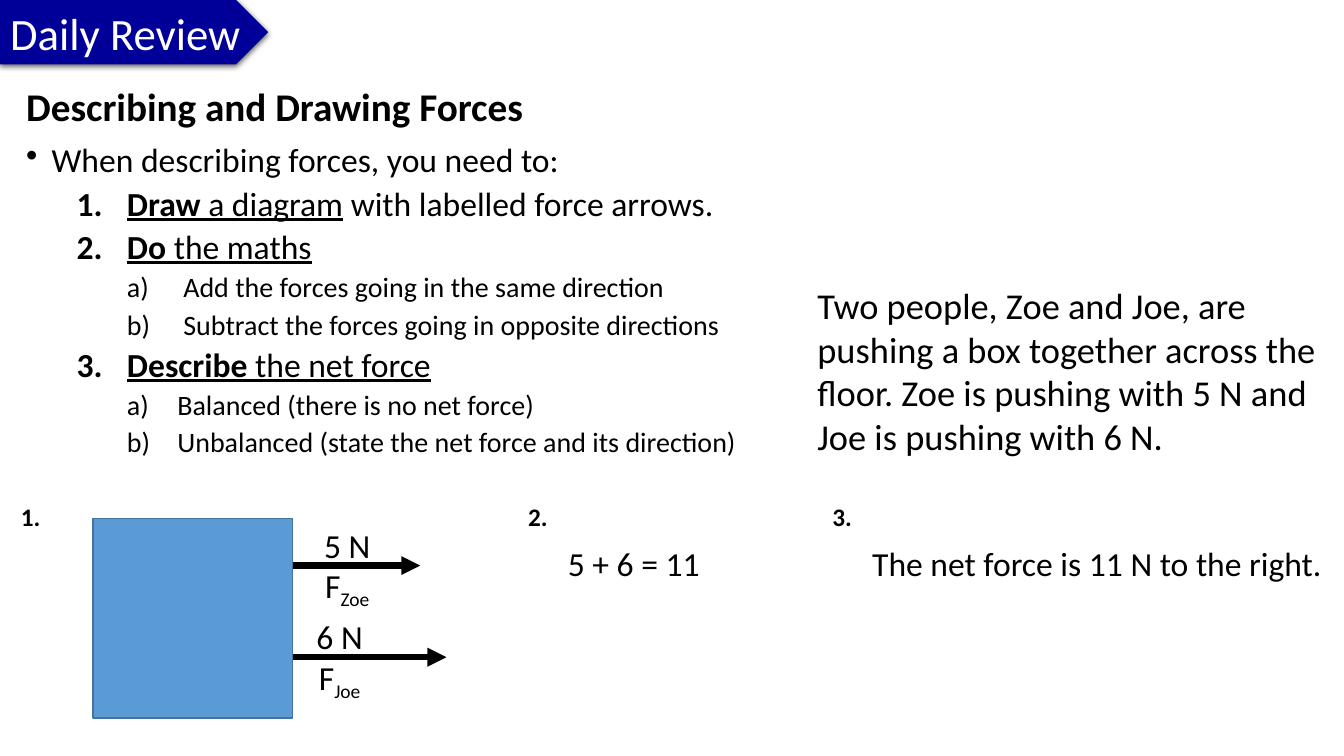
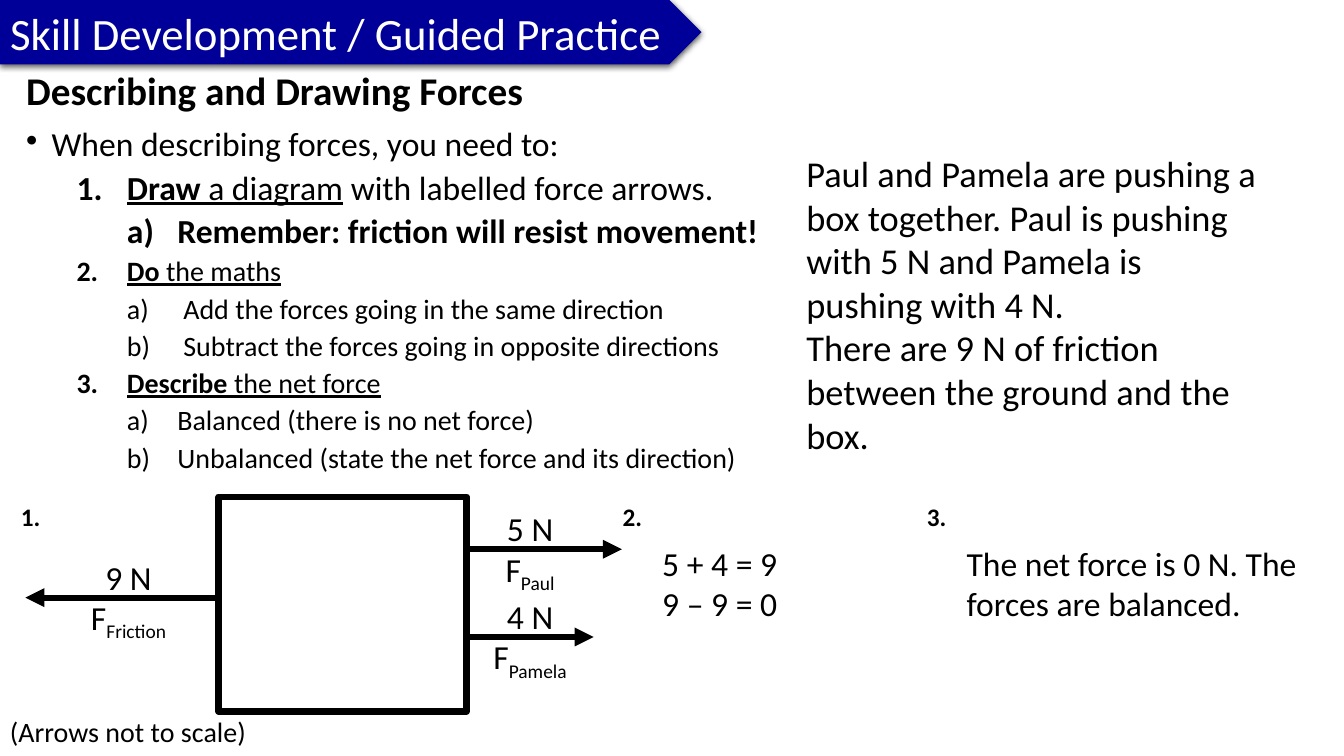
from lxml import etree
from pptx import Presentation
from pptx.dml.color import RGBColor
from pptx.enum.dml import MSO_THEME_COLOR
from pptx.enum.shapes import MSO_CONNECTOR, MSO_SHAPE
from pptx.enum.text import MSO_ANCHOR, MSO_AUTO_SIZE, PP_ALIGN
from pptx.oxml.ns import qn
from pptx.util import Cm, Pt

LEFT, CENTER = PP_ALIGN.LEFT, PP_ALIGN.CENTER
MIDDLE, NO_AUTOFIT = MSO_ANCHOR.MIDDLE, MSO_AUTO_SIZE.NONE
PENTAGON, RECTANGLE = MSO_SHAPE.PENTAGON, MSO_SHAPE.RECTANGLE
STRAIGHT = MSO_CONNECTOR.STRAIGHT

FONT = "Calibri"
COLORS = {
    "text": "000000",
    "banner": "000099",
    "white": "FFFFFF",
    "box": "5B9BD5",
    "box_edge": "43739E",
}
TITLE_ONLY = 5
BANNER_HEIGHT = 1.62
THICK = 4.5
NUMBER_TOP, ANSWER_TOP = 12.52, 13.56
ANSWER_INDENT, ANSWER_GAP = 1.0, 7.67
LABEL_RISE, LABEL_HEIGHT = 1.16, 2.31

LETTERS = ("buAutoNum", {"type": "alphaLcParenR"})
# level, left margin, hanging indent, space before, bullet
STYLES = {
    "heading": (0, 0, 0, 0, ("buNone", {})),
    "bullet": (0, 0.64, 0.64, 10, ("buChar", {"char": "•"})),
    "step": (1, 2.54, 1.27, 5, ("buAutoNum", {"type": "arabicPeriod"})),
    "operation": (2, 3.96, 1.42, 5, LETTERS),
    "detail": (2, 3.81, 1.27, 5, LETTERS),
}


def rgb(name):
    """Return the named colour."""
    return RGBColor.from_string(COLORS[name])


def format_paragraph(paragraph, size, color="text", bold=False, align=LEFT):
    """Set the font and alignment of a whole paragraph."""
    paragraph.alignment = align
    font = paragraph.font
    font.name, font.size, font.bold = FONT, Pt(size), bold
    font.color.rgb = rgb(color)


def add_text_box(slide, left, top, width, height, wrap=True):
    """Add an empty text box and return its text frame."""
    box = slide.shapes.add_textbox(Cm(left), Cm(top), Cm(width), Cm(height))
    box.text_frame.word_wrap = wrap
    return box.text_frame


def add_text(slide, lines, left, top, width, height, size, wrap=True, bold=False):
    """Add a text box with one paragraph per line."""
    frame = add_text_box(slide, left, top, width, height, wrap)
    for index, line in enumerate(lines):
        paragraph = frame.add_paragraph() if index else frame.paragraphs[0]
        paragraph.text = line
        format_paragraph(paragraph, size, bold=bold)


def add_banner(slide, text, width):
    """Place the slide title on a shadowed arrow-shaped banner."""
    position = 0, 0, Cm(width), Cm(BANNER_HEIGHT)
    banner = slide.shapes.add_shape(PENTAGON, *position)
    banner.fill.solid()
    banner.fill.fore_color.rgb = rgb("banner")
    banner.line.fill.background()
    banner.shadow.inherit = False
    effects = banner.element.spPr.find(qn("a:effectLst"))
    shadow = etree.SubElement(effects, qn("a:outerShdw"), blurRad=str(Pt(4.5)),
                              dist=str(Pt(1.5)), dir="5400000", algn="ctr", rotWithShape="0")
    color = etree.SubElement(shadow, qn("a:srgbClr"), val=COLORS["text"])
    etree.SubElement(color, qn("a:alpha"), val="63000")

    title = slide.shapes.title
    title.element.addprevious(banner.element)
    title.left, title.top, title.width, title.height = position
    frame = title.text_frame
    frame.text = text
    frame.word_wrap = True
    frame.auto_size = NO_AUTOFIT
    frame.vertical_anchor = MIDDLE
    format_paragraph(frame.paragraphs[0], 32, "white")


def list_instructions(later_size, reminder=None):
    """Return the instructions as style, size, bold and runs."""
    def step(size, verb, underlined, rest=""):
        return "step", size, False, [(verb, True, True), (underlined, False, True), (rest, False, False)]

    def plain(style, size, text, bold=False):
        return style, size, bold, [(text, bold, False)]

    reminders = [plain("detail", 24, reminder, True)] if reminder else []
    return [
        plain("heading", 28, "Describing and Drawing Forces", True),
        plain("bullet", 24, "When describing forces, you need to:"),
        step(24, "Draw", " a diagram", " with labelled force arrows."),
        *reminders,
        step(later_size, "Do", " the maths"),
        plain("operation", 20, "Add the forces going in the same direction"),
        plain("operation", 20, "Subtract the forces going in opposite directions"),
        step(later_size, "Describe", " the net force"),
        plain("detail", 20, "Balanced (there is no net force)"),
        plain("detail", 20, "Unbalanced (state the net force and its direction)"),
    ]


def add_instructions(slide, instructions, top, width, height):
    """Add the numbered instructions."""
    frame = add_text_box(slide, 0.41, top, width, height)
    for index, (style, size, bold, runs) in enumerate(instructions):
        paragraph = frame.add_paragraph() if index else frame.paragraphs[0]
        level, margin, hanging, space, (bullet, attributes) = STYLES[style]
        paragraph.level = level
        paragraph.line_spacing = 0.9
        paragraph.space_before = Pt(space)
        properties = paragraph._p.get_or_add_pPr()
        properties.set("marL", str(Cm(margin)))
        properties.set("indent", str(-Cm(hanging)))
        etree.SubElement(properties, qn(f"a:{bullet}"), attributes)
        format_paragraph(paragraph, size, bold=bold)
        for text, run_bold, underline in runs:
            if text:
                run = paragraph.add_run()
                run.text = text
                run.font.bold, run.font.underline = run_bold, underline


def add_box(slide, left, top, width, height, fill, edge, edge_width):
    """Add the box that is being pushed."""
    box = slide.shapes.add_shape(RECTANGLE, Cm(left), Cm(top), Cm(width), Cm(height))
    box.shadow.inherit = False
    box.fill.solid()
    box.fill.fore_color.rgb = rgb(fill)
    box.line.color.rgb = rgb(edge)
    box.line.width = Pt(edge_width)


def add_force(slide, start, end, y, strength, source, label_center, label_width):
    """Add a force arrow with its strength above and its symbol below."""
    arrow = slide.shapes.add_connector(STRAIGHT, Cm(start), Cm(y), Cm(end), Cm(y))
    arrow.line.color.rgb = rgb("text")
    arrow.line.width = Pt(THICK)
    etree.SubElement(arrow.line._get_or_add_ln(), qn("a:tailEnd"), type="triangle")
    etree.SubElement(arrow.element.spPr, qn("a:effectLst"))

    frame = add_text_box(slide, label_center - label_width / 2, y - LABEL_RISE,
                         label_width, LABEL_HEIGHT, wrap=False)
    frame.text = f"{strength} N\nF"
    for paragraph in frame.paragraphs:
        format_paragraph(paragraph, 24, align=CENTER)
    subscript = frame.paragraphs[1].add_run()
    subscript.text = source
    subscript._r.get_or_add_rPr().set("baseline", "-25000")


def add_working(slide, maths_left, maths, maths_width, conclusion, conclusion_width, height):
    """Number the three steps and add the sum and the conclusion."""
    conclusion_left = maths_left + ANSWER_GAP
    for number, left in enumerate((0.28, maths_left, conclusion_left), start=1):
        add_text(slide, [f"{number}."], left, NUMBER_TOP, 1.02, 1.02, 18, wrap=False, bold=True)
    add_text(slide, maths, maths_left + ANSWER_INDENT, ANSWER_TOP, maths_width, height, 24, wrap=False)
    add_text(slide, [conclusion], conclusion_left + ANSWER_INDENT, ANSWER_TOP,
             conclusion_width, height, 24)


def add_slide(presentation, title, banner_width):
    """Add a slide with its title banner."""
    slide = presentation.slides.add_slide(presentation.slide_layouts[TITLE_ONLY])
    add_banner(slide, title, banner_width)
    return slide


def build_daily_review(presentation):
    """Build the slide with two forces in the same direction."""
    slide = add_slide(presentation, "Daily Review", 6.76)
    add_instructions(slide, list_instructions(24), 2.08, 18.85, 9.65)
    add_text(slide, ["Two people, Zoe and Joe, are pushing a box together across the floor. "
                     "Zoe is pushing with 5 N and Joe is pushing with 6 N."],
             20.35, 7.01, 13.23, 4.7, 26)
    add_force(slide, 7.37, 11.25, 16.56, 6, "Joe", 8.56, 1.68)
    add_force(slide, 7.37, 10.59, 14.25, 5, "Zoe", 8.75, 1.75)
    add_box(slide, 2.34, 13.06, 5.03, 5.03, "box", "box_edge", 1)
    add_working(slide, 13.06, ["5 + 6 = 11"], 3.86,
                "The net force is 11 N to the right.", 11.9, 1.27)


def build_guided_practice(presentation):
    """Build the slide with friction against two forces."""
    slide = add_slide(presentation, "Skill Development / Guided Practice", 17.68)
    instructions = list_instructions(20, "Remember: friction will resist movement!")
    add_instructions(slide, instructions, 1.68, 19.08, 10.67)
    add_text(slide, ["Paul and Pamela are pushing a box together. "
                     "Paul is pushing with 5 N and Pamela is pushing with 4 N.",
                     "There are 9 N of friction between the ground and the box."],
             20.07, 3.68, 11.94, 8.03, 26)
    add_box(slide, 5.51, 12.52, 6.25, 5.41, "white", "text", THICK)
    add_force(slide, 11.76, 15.67, 13.84, 5, "Paul", 13.36, 1.88)
    add_force(slide, 11.76, 14.96, 16.05, 4, "Pamela", 13.36, 2.59)
    add_force(slide, 5.51, 0.64, 15.06, 9, "Friction", 3.24, 2.67)
    add_working(slide, 15.44, ["5 + 4 = 9", "9 – 9 = 0"], 3.43,
                "The net force is 0 N. The forces are balanced.", 9.75, 2.31)
    add_text(slide, ["(Arrows not to scale)"], 0, 17.88, 6.53, 1.12, 20, wrap=False)


def main():
    """Build and save the presentation."""
    presentation = Presentation()
    presentation.slide_width, presentation.slide_height = Cm(33.87), Cm(19.05)
    build_daily_review(presentation)
    build_guided_practice(presentation)
    presentation.save("out.pptx")


if __name__ == "__main__":
    main()
